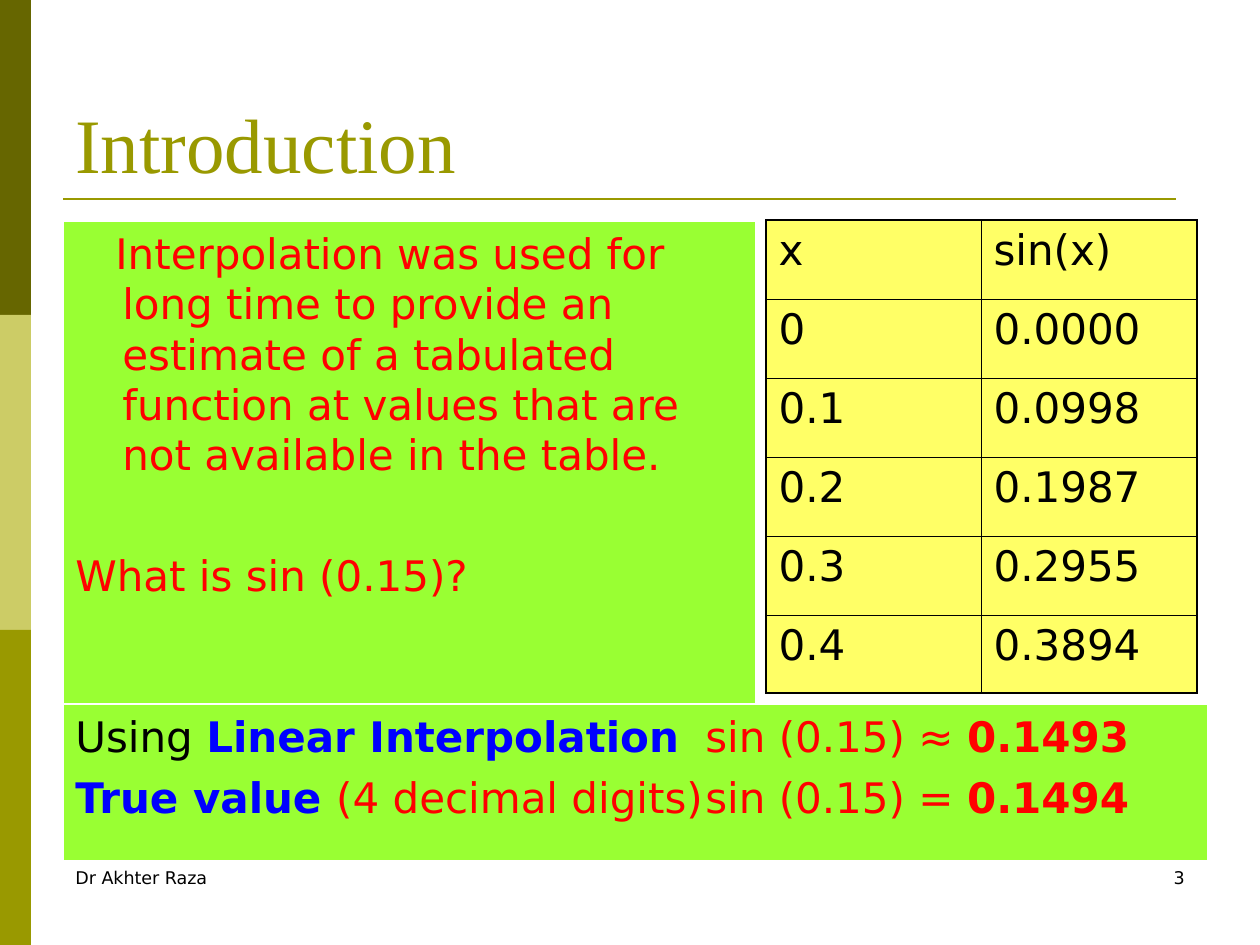
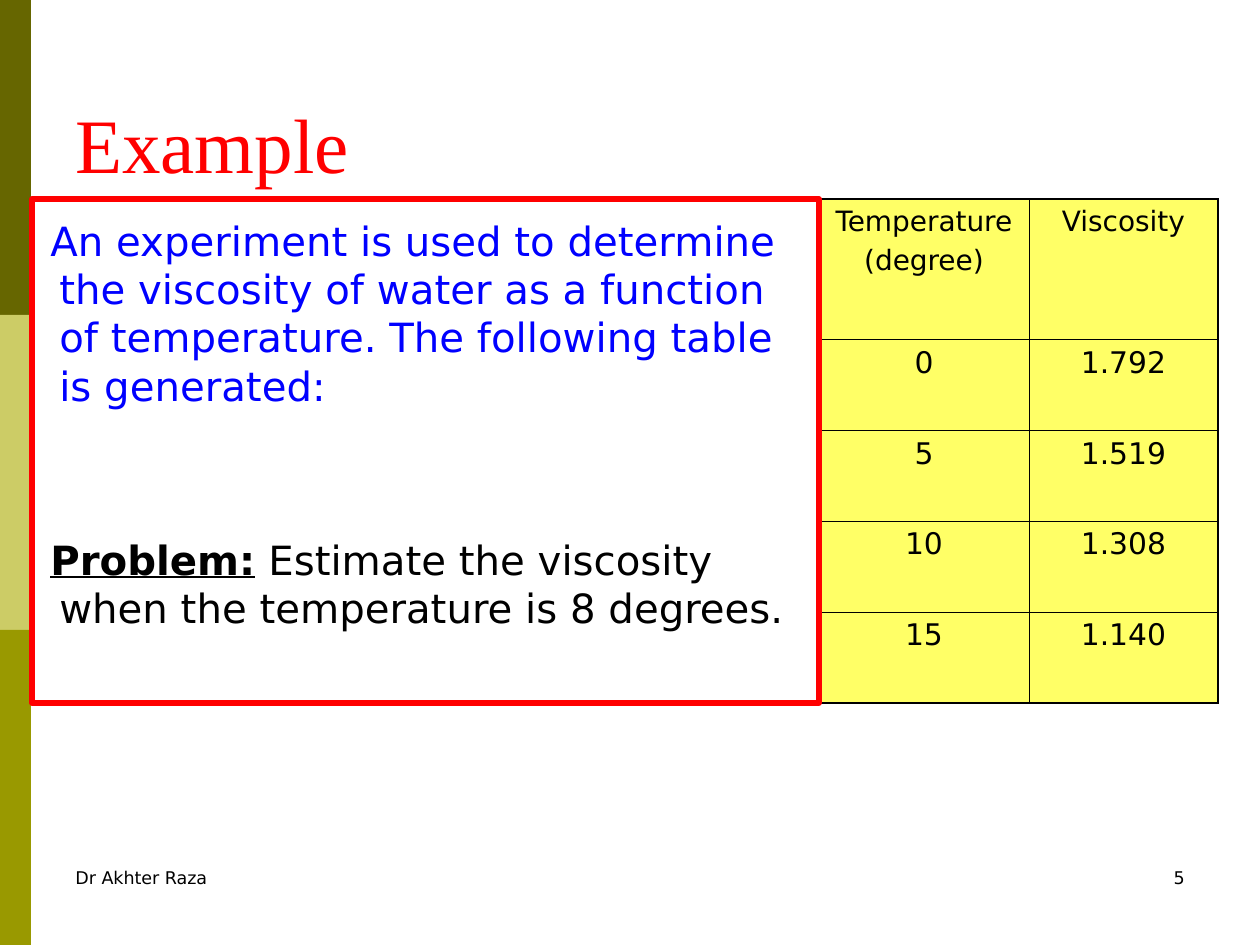
from dataclasses import dataclass

from lxml.etree import SubElement
from pptx import Presentation
from pptx.dml.color import RGBColor
from pptx.enum.shapes import MSO_CONNECTOR as Connector, MSO_SHAPE as Shape
from pptx.enum.text import MSO_ANCHOR as Anchor, PP_ALIGN as Align
from pptx.oxml.ns import qn
from pptx.util import Emu, Pt

SCALE = 914400 / 126
WIDTH, HEIGHT = 1260, 945
SANS, SERIF = "DejaVu Sans", "Times New Roman"
COLORS = {
    "dark olive": "666600",
    "pale olive": "CCCC66",
    "olive": "999900",
    "lime": "99FF33",
    "yellow": "FFFF66",
    "red": "FF0000",
    "blue": "0000FF",
    "black": "000000",
    "white": "FFFFFF",
}


@dataclass
class Para:
    """One paragraph: runs of (text, colour, emphasis) and its spacing in points or px."""
    runs: list
    size: float
    before: float = 0
    margin: int = 0
    indent: int = 0
    tab: int = 0
    align: Align = Align.LEFT
    font: str = SANS


def px(length):
    """Turn px into EMU."""
    return Emu(round(length * SCALE))


def rgb(name):
    """Look up a colour by name."""
    return RGBColor.from_string(COLORS[name])


def write(frame, paras, anchor=Anchor.TOP):
    """Fill a text frame with paragraphs."""
    frame.word_wrap = True
    frame.vertical_anchor = anchor
    for index, para in enumerate(paras):
        line = frame.paragraphs[0] if index == 0 else frame.add_paragraph()
        line.alignment = para.align
        line.space_before = Pt(para.before)
        props = line._p.get_or_add_pPr()
        props.set("marL", str(px(para.margin)))
        props.set("indent", str(px(para.indent)))
        if para.tab:
            stops = SubElement(props, qn("a:tabLst"))
            SubElement(stops, qn("a:tab"), pos=str(px(para.tab)), algn="l")
        for words, color, emphasis in para.runs:
            run = line.add_run()
            run.text = words
            run.font.name = para.font
            run.font.size = Pt(para.size)
            run.font.color.rgb = rgb(color)
            run.font.bold = "b" in emphasis
            run.font.underline = "u" in emphasis


def add_text(slide, box, paras, anchor=Anchor.TOP):
    """Add a plain text box."""
    area = slide.shapes.add_textbox(*map(px, box))
    write(area.text_frame, paras, anchor)


def add_panel(slide, box, fill=None, line=None, weight=0.75, paras=()):
    """Add a rectangle, filled or outlined, with optional text."""
    panel = slide.shapes.add_shape(Shape.RECTANGLE, *map(px, box))
    panel.shadow.inherit = False
    if fill:
        panel.fill.solid()
        panel.fill.fore_color.rgb = rgb(fill)
    else:
        panel.fill.background()
    if line:
        panel.line.color.rgb = rgb(line)
        panel.line.width = Pt(weight)
    else:
        panel.line.fill.background()
    write(panel.text_frame, paras)


def add_base(deck, title, title_color, number):
    """Add a slide with its side bands, title, rule and footers."""
    slide = deck.slides.add_slide(deck.slide_layouts[6])
    band = HEIGHT // 3
    for index, color in enumerate(("dark olive", "pale olive", "olive")):
        add_panel(slide, (0, index * band, 31, band), color)
    rule = slide.shapes.add_connector(
        Connector.STRAIGHT, px(63), px(199), px(1176), px(199))
    rule.line.color.rgb = rgb("olive")
    rule.line.width = Pt(1.5)
    SubElement(rule._element.spPr, qn("a:effectLst"))
    for left, words, align in ((63, "Dr Akhter Raza", Align.LEFT),
                               (903, str(number), Align.RIGHT)):
        add_text(slide, (left, 861, 294, 63),
                 [Para([(words, "black", "")], 10, align=align)])
    add_text(slide, (63, 38, 1134, 157),
             [Para([(title, title_color, "")], 44, font=SERIF)], Anchor.BOTTOM)
    return slide


def add_borders(cell, outer):
    """Draw a cell's borders, heavier on the sides in outer."""
    props = cell._tc.get_or_add_tcPr()
    for side in "LRTB":
        weight = Pt(1.08 if side in outer else 0.45)
        border = SubElement(props, qn(f"a:ln{side}"), w=str(weight))
        paint = SubElement(border, qn("a:solidFill"))
        SubElement(paint, qn("a:srgbClr"), val=COLORS["black"])


def add_values(slide, left, top, widths, heights, rows, sizes, align):
    """Add a yellow table; sizes gives the header and value text sizes."""
    grid = slide.shapes.add_table(
        len(heights), len(widths), px(left), px(top),
        px(sum(widths)), px(sum(heights))).table
    grid.first_row = grid.horz_banding = False
    for column, width in zip(grid.columns, widths):
        column.width = px(width)
    for r, (height, row) in enumerate(zip(heights, rows)):
        grid.rows[r].height = px(height)
        size = sizes[min(r, 1)]
        for c, words in enumerate(row):
            cell = grid.cell(r, c)
            edges = {"L": c == 0, "R": c == len(widths) - 1,
                     "T": r == 0, "B": r == len(heights) - 1}
            add_borders(cell, [side for side, outside in edges.items() if outside])
            cell.fill.solid()
            cell.fill.fore_color.rgb = rgb("yellow")
            write(cell.text_frame, [
                Para([(line, "black", "")], size, size / 4, align=align)
                for line in words.split("\n")])


def build_introduction(deck):
    """Build the slide that introduces interpolation with a sine table."""
    slide = add_base(deck, "Introduction", "olive", 3)
    purpose = ("Interpolation was used for long time to provide an estimate of a "
               "tabulated function at values that are not available in the table.")
    add_panel(slide, (63, 221, 693, 483), "lime", "white", paras=[
        Para([(purpose, "red", "")], 24, 6, margin=47, indent=-7),
        Para([("What is sin (0.15)?", "red", "")], 24, 40),
    ])
    sines = [("x", "sin(x)"), ("0", "0.0000"), ("0.1", "0.0998"),
             ("0.2", "0.1987"), ("0.3", "0.2955"), ("0.4", "0.3894")]
    add_values(slide, 766, 220, [215, 216], [79] * 5 + [78], sines,
               (24, 24), Align.LEFT)
    estimate = [("Using ", "black", ""), ("Linear Interpolation", "blue", "b"),
                ("\tsin (0.15) ≈ ", "red", ""), ("0.1493", "red", "b")]
    truth = [("True value ", "blue", "b"),
             ("(4 decimal digits)\tsin (0.15) = ", "red", ""),
             ("0.1494", "red", "b")]
    add_panel(slide, (63, 704, 1145, 157), "lime", "white", paras=[
        Para(estimate, 24, 6, tab=657), Para(truth, 24, 6, tab=654)])


def build_example(deck):
    """Build the slide with the viscosity problem and its data."""
    slide = add_base(deck, "Example", "red", 5)
    experiment = ("An experiment is used to determine the viscosity of water as a "
                  "function of temperature. The following table is generated:")
    problem = [("Problem:", "black", "bu"),
               (" Estimate the viscosity when the temperature is 8 degrees.",
                "black", "")]
    add_text(slide, (0, 210, 809, 483), [
        Para([(experiment, "blue", "")], 23, 5.8, margin=47, indent=-9),
        Para(problem, 23, 72, margin=47, indent=-9),
    ])
    viscosities = [("Temperature\n(degree)", "Viscosity"), ("0", "1.792"),
                   ("5", "1.519"), ("10", "1.308"), ("15", "1.140")]
    add_values(slide, 819, 199, [210, 189], [140] + [91] * 4, viscosities,
               (16, 17), Align.CENTER)
    add_panel(slide, (32, 199, 787, 504), line="red", weight=3)


def main():
    """Build and save the deck."""
    deck = Presentation()
    deck.slide_width, deck.slide_height = px(WIDTH), px(HEIGHT)
    build_introduction(deck)
    build_example(deck)
    deck.save("out.pptx")


if __name__ == "__main__":
    main()
